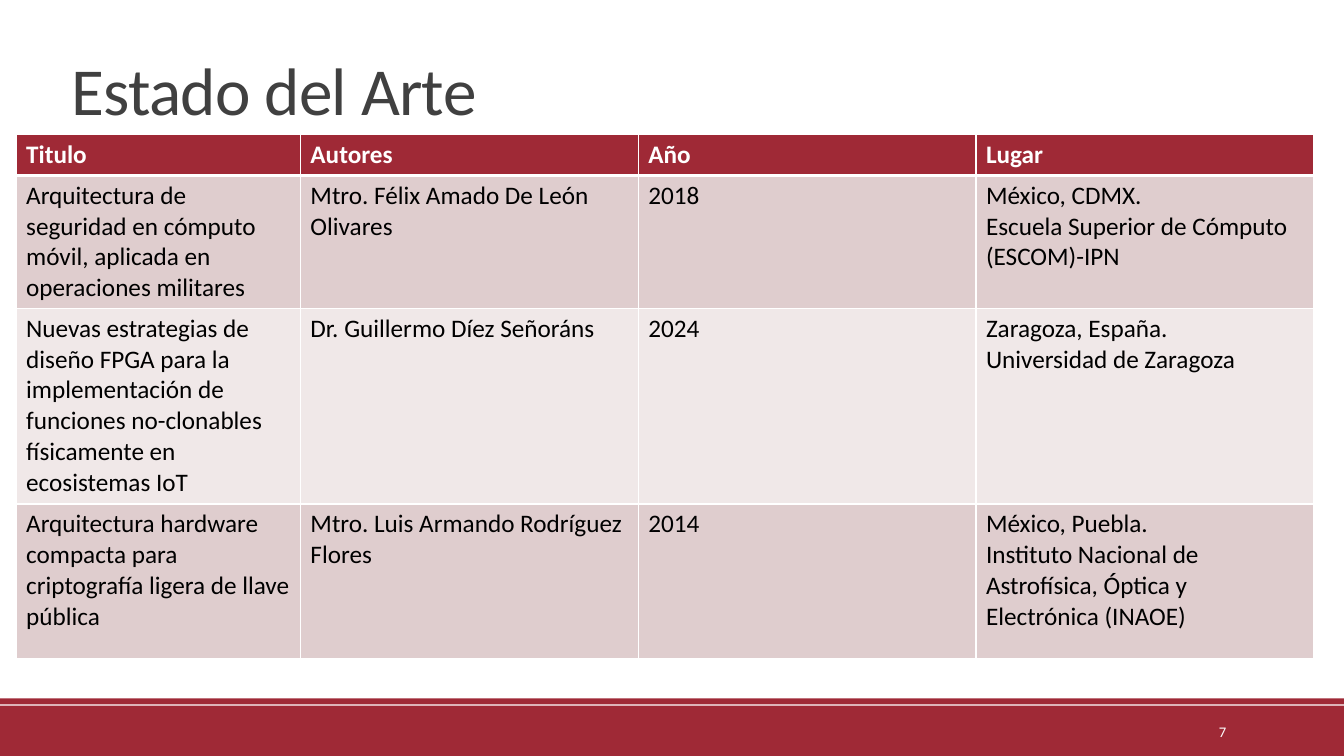
import pptx
import pptx.util
import pptx.dml.color
import pptx.enum.shapes
import pptx.enum.text
import pptx.oxml
import pptx.oxml.ns
from pptx.util import Inches

HUES = {"red": "9F2936", "white": "FFFFFF", "gray": "404040",
        "black": "000000", "dark": "DFCDCE", "light": "F0E8E8"}
ROWS = [
    ["Titulo", "Autores", "Año", "Lugar"],
    ["Arquitectura de seguridad en cómputo móvil, aplicada en operaciones militares",
     "Mtro. Félix Amado De León Olivares", "2018",
     "México, CDMX.\nEscuela Superior de Cómputo (ESCOM)-IPN"],
    ["Nuevas estrategias de diseño FPGA para la implementación de funciones "
     "no-clonables físicamente en ecosistemas IoT",
     "Dr. Guillermo Díez Señoráns", "2024",
     "Zaragoza, España.\nUniversidad de Zaragoza"],
    ["Arquitectura hardware compacta para criptografía ligera de llave pública",
     "Mtro. Luis Armando Rodríguez Flores", "2014",
     "México, Puebla.\nInstituto Nacional de Astrofísica, Óptica y Electrónica (INAOE)"],
]
WIDTHS = [2.82, 3.35, 3.35, 3.35]
HEIGHTS = [0.41, 1.32, 1.94, 1.53]


def style(frame, size, hue, bold=False):
    for para in frame.paragraphs:
        for run in para.runs:
            run.font.name = "Calibri"
            run.font.size = pptx.util.Pt(size)
            run.font.bold = bold
            run.font.color.rgb = pptx.dml.color.RGBColor.from_string(HUES[hue])


def edge(cell, base):
    """Draw white cell borders, with the bottom one base points wide."""
    props = cell._tc.get_or_add_tcPr()
    for spot, side in enumerate("LRTB"):
        width = pptx.util.Pt(base if side == "B" else 1)
        props.insert(spot, pptx.oxml.parse_xml(
            f'<a:ln{side} {pptx.oxml.ns.nsdecls("a")} w="{width}"><a:solidFill>'
            f'<a:srgbClr val="{HUES["white"]}"/></a:solidFill></a:ln{side}>'))


deck = pptx.Presentation()
deck.slide_width = Inches(13.33)
deck.slide_height = Inches(7.5)
slide = deck.slides.add_slide(deck.slide_layouts[6])

# Footer bands, with a hairline gap between them
for top, height in [(7, 0.5), (6.93, 0.06)]:
    band = slide.shapes.add_shape(pptx.enum.shapes.MSO_SHAPE.RECTANGLE,
                                  0, Inches(top), deck.slide_width, Inches(height))
    band.shadow.inherit = False
    band.fill.solid()
    band.fill.fore_color.rgb = pptx.dml.color.RGBColor.from_string(HUES["red"])
    band.line.fill.background()

# Title
title = slide.shapes.add_textbox(Inches(0.61), Inches(0.45), Inches(10.43), Inches(0.88))
frame = title.text_frame
frame.word_wrap = True
frame.vertical_anchor = pptx.enum.text.MSO_ANCHOR.BOTTOM
frame.text = "Estado del Arte"
frame.paragraphs[0].line_spacing = 0.85
style(frame, 48, "gray")
frame.paragraphs[0].runs[0].font._element.set("spc", "-50")

# Slide number
number = slide.shapes.add_textbox(Inches(10.83), Inches(7.06), Inches(1.43), Inches(0.4))
frame = number.text_frame
frame.word_wrap = True
frame.vertical_anchor = pptx.enum.text.MSO_ANCHOR.MIDDLE
frame.text = "7"
frame.paragraphs[0].alignment = pptx.enum.text.PP_ALIGN.RIGHT
style(frame, 10.5, "white")

# Table of works
table = slide.shapes.add_table(len(ROWS), len(WIDTHS), Inches(0.16), Inches(1.33),
                               Inches(sum(WIDTHS)), Inches(sum(HEIGHTS))).table
for col, width in zip(table.columns, WIDTHS):
    col.width = Inches(width)
for r, texts in enumerate(ROWS):
    table.rows[r].height = Inches(HEIGHTS[r])
    head = r == 0
    shade = "red" if head else "dark" if r % 2 else "light"
    for c, text in enumerate(texts):
        cell = table.cell(r, c)
        cell.text_frame.text = text
        style(cell.text_frame, 18, "white" if head else "black", head)
        cell.fill.solid()
        cell.fill.fore_color.rgb = pptx.dml.color.RGBColor.from_string(HUES[shade])
        edge(cell, 3 if head else 1)

deck.save("out.pptx")
